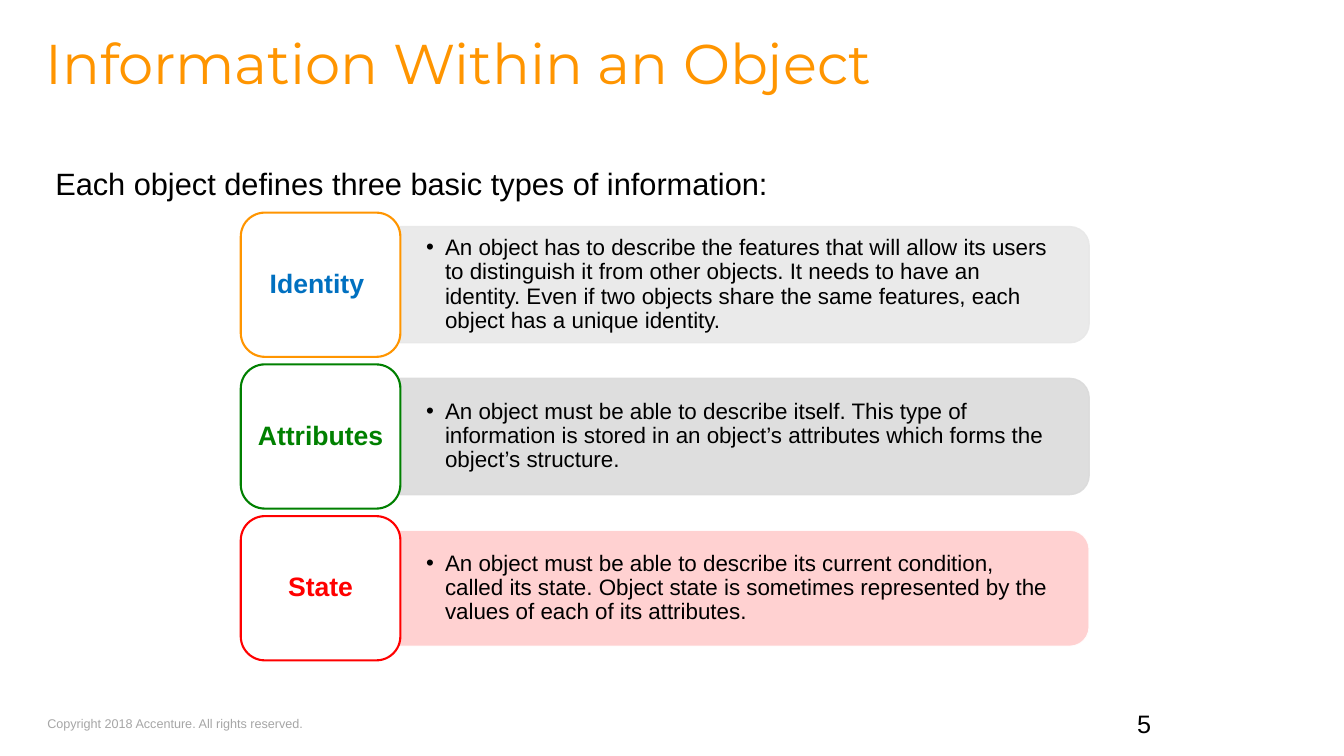
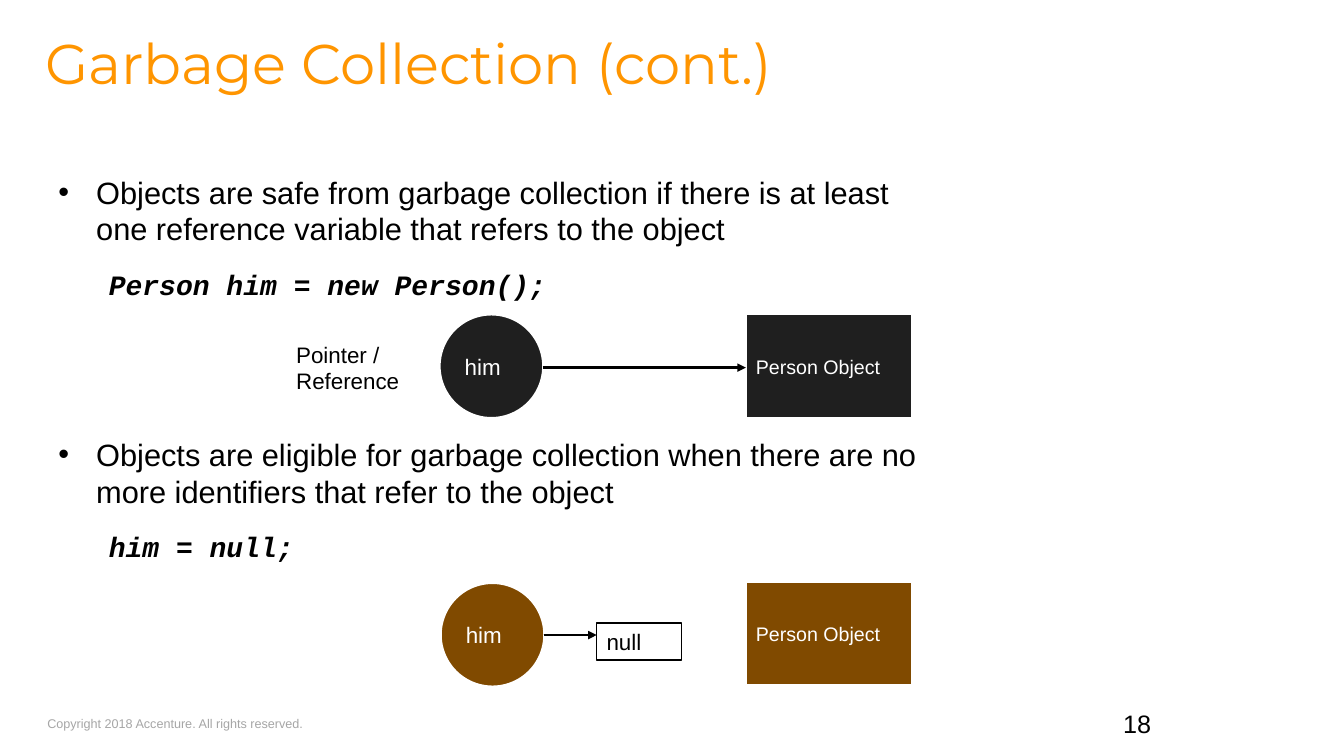
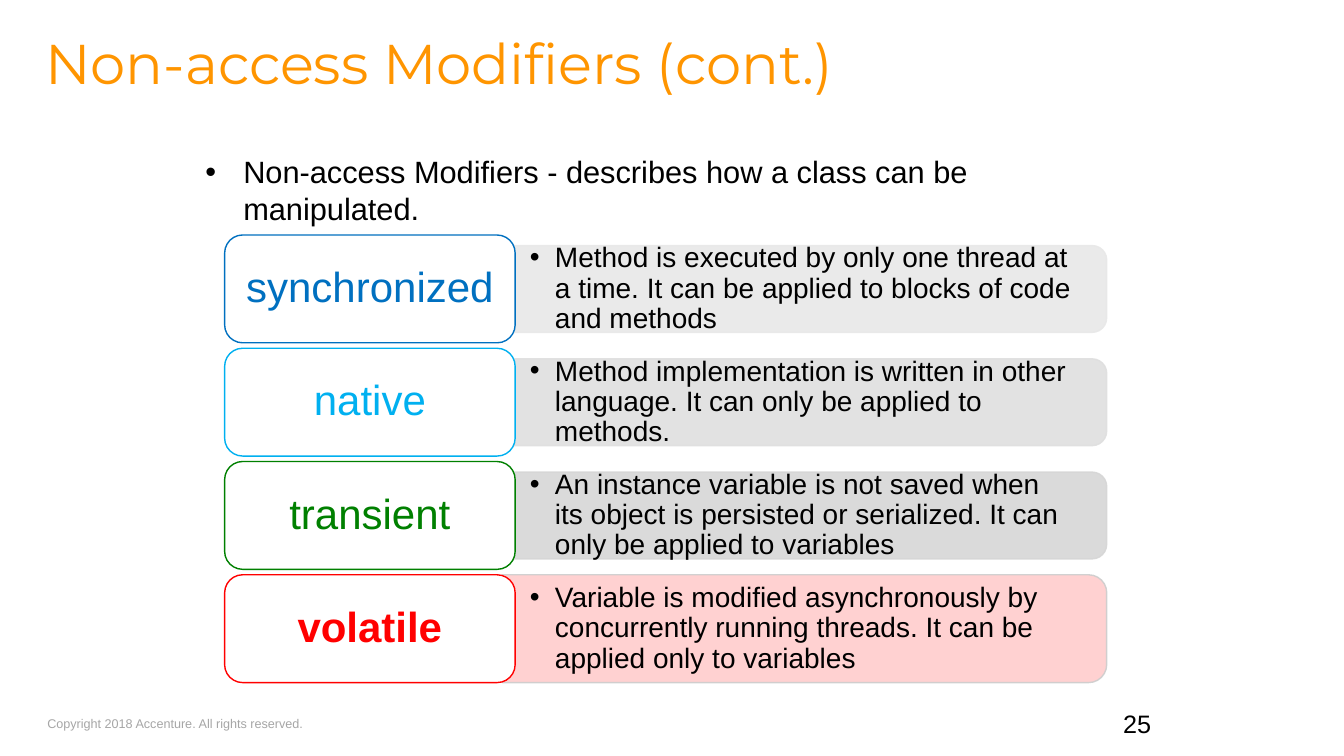
from dataclasses import dataclass

from lxml import etree
from pptx import Presentation
from pptx.dml.color import RGBColor
from pptx.enum import shapes, text
from pptx.oxml import ns
from pptx.util import Pt

ORANGE = RGBColor(0xFF, 0x95, 0x00)
BLUE = RGBColor(0x00, 0x70, 0xC0)
SKY = RGBColor(0x00, 0xB0, 0xF0)
GREEN = RGBColor(0x00, 0x80, 0x00)
RED = RGBColor(0xFF, 0x00, 0x00)
PINK = RGBColor(0xFF, 0xCC, 0xCC)
BROWN = RGBColor(0x80, 0x4A, 0x00)
CHARCOAL = RGBColor(0x1F, 0x1F, 0x1F)
BLACK = RGBColor(0x00, 0x00, 0x00)
WHITE = RGBColor(0xFF, 0xFF, 0xFF)
FOOTER_GREY = RGBColor(0xA6, 0xA6, 0xA6)
LIGHT_GREY = RGBColor(0xE8, 0xE8, 0xE8)
SOFT_GREY = RGBColor(0xDF, 0xDF, 0xDF)
MID_GREY = RGBColor(0xDB, 0xDB, 0xDB)
DARK_GREY = RGBColor(0xD6, 0xD6, 0xD6)
EDGE_GREY = RGBColor(0xCD, 0xCD, 0xCD)

BODY_FONT = "Arial"
TITLE_FONT = "Montserrat"
CODE_FONT = "Courier New"
BODY_SIZE = 22
BODY_INDENT = 27
INSETS = (7.2, 3.6)
CODE = dict(size=20, font=CODE_FONT, bold=True, italic=True, indent=36, before=14.4)

TITLE_ONLY = 5
LEFT, CENTER, RIGHT = text.PP_ALIGN.LEFT, text.PP_ALIGN.CENTER, text.PP_ALIGN.RIGHT
TOP, MIDDLE, BOTTOM = text.MSO_ANCHOR.TOP, text.MSO_ANCHOR.MIDDLE, text.MSO_ANCHOR.BOTTOM
SHAPE = shapes.MSO_SHAPE


@dataclass
class Row:
    label: str
    description: str
    color: RGBColor
    panel_fill: RGBColor
    panel_line: RGBColor
    bold: bool = True
    panel_height: float = 0


@dataclass
class RowStyle:
    """Measures of a column of labels, each with a description panel."""
    label_left: float
    label_width: float
    label_height: float
    label_size: float
    label_insets: tuple
    outline: float
    panel_left: float
    panel_width: float
    panel_height: float
    text_size: float
    text_indent: float
    first_center: float
    pitch: float


OBJECT_ROWS = RowStyle(172, 114, 103, 19, (6, 3), 1.5, 285, 493, 83, 16, 13.5, 203.4, 108.4)
MODIFIER_ROWS = RowStyle(160.5, 207.5, 77, 30, (9, 4.5), 1, 359, 431.5, 62, 20, 18, 206.4, 80.9)


def add_child(parent, tag, **attributes):
    return etree.SubElement(parent, ns.qn(tag), attributes)


def write(frame, content, size=BODY_SIZE, color=BLACK, font=BODY_FONT, bold=False,
          italic=False, align=LEFT, spacing=None, before=None, indent=0, bullet=False):
    """Add one paragraph, using the frame's first paragraph while that is empty."""
    paragraph = frame.paragraphs[0]
    if paragraph.runs:
        paragraph = frame.add_paragraph()
    paragraph.alignment = align
    if spacing:
        paragraph.line_spacing = spacing
    if before:
        paragraph.space_before = Pt(before)
    properties = paragraph._p.get_or_add_pPr()
    if indent:
        properties.set("marL", str(Pt(indent)))
        properties.set("indent", str(-Pt(indent) if bullet else 0))
    if bullet:
        add_child(properties, "a:buFont", typeface=BODY_FONT)
        add_child(properties, "a:buChar", char="•")
    run = paragraph.add_run()
    run.text = content
    run.font.size = Pt(size)
    run.font.name = font
    run.font.bold = bold
    run.font.italic = italic
    run.font.color.rgb = color


def format_frame(shape, insets=INSETS, anchor=TOP, wrap=True):
    frame = shape.text_frame
    frame.auto_size = text.MSO_AUTO_SIZE.NONE
    frame.word_wrap = wrap
    frame.vertical_anchor = anchor
    frame.margin_left = frame.margin_right = Pt(insets[0])
    frame.margin_top = frame.margin_bottom = Pt(insets[1])
    return frame


def add_box(slide, left, top, width, height, **layout):
    """Add a text box and return its text frame."""
    box = slide.shapes.add_textbox(Pt(left), Pt(top), Pt(width), Pt(height))
    return format_frame(box, **layout)


def add_shape(slide, kind, left, top, width, height, fill, line, line_width):
    shape = slide.shapes.add_shape(kind, Pt(left), Pt(top), Pt(width), Pt(height))
    shape.shadow.inherit = False
    if fill is None:
        shape.fill.background()
    else:
        shape.fill.solid()
        shape.fill.fore_color.rgb = fill
    shape.line.color.rgb = line
    shape.line.width = Pt(line_width)
    return shape


def add_arrow(slide, start, end, y):
    arrow = slide.shapes.add_connector(
        shapes.MSO_CONNECTOR.STRAIGHT, Pt(start), Pt(y), Pt(end), Pt(y))
    arrow.line.color.rgb = BLACK
    arrow.line.width = Pt(2)
    add_child(arrow.line._get_or_add_ln(), "a:tailEnd", type="triangle")
    add_child(arrow._element.spPr, "a:effectLst")


def add_node(slide, kind, left, top, width, label, size, fill):
    node = add_shape(slide, kind, left, top, width, 74, fill, WHITE, 1.5)
    write(format_frame(node, anchor=MIDDLE), label, size=size, color=WHITE)


def add_panel(slide, left, center, width, height, fill, line):
    """Add a translucent panel rounded on its right side only."""
    panel = add_shape(slide, SHAPE.ROUND_2_SAME_RECTANGLE,
                      left + (width - height) / 2, center - width / 2,
                      height, width, fill, line, 1)
    panel.rotation = 90
    for color in panel._element.spPr.iter(ns.qn("a:srgbClr")):
        add_child(color, "a:alpha", val="90000")


def add_rows(slide, rows, style):
    for index, row in enumerate(rows):
        center = style.first_center + index * style.pitch
        height = row.panel_height or style.panel_height
        add_panel(slide, style.panel_left, center, style.panel_width, height,
                  row.panel_fill, row.panel_line)
        description = add_box(slide, style.panel_left, center - height / 2 + 4,
                              style.panel_width - 4, height - 8,
                              insets=(19.4, 10), anchor=MIDDLE)
        write(description, row.description, size=style.text_size, spacing=0.9,
              indent=style.text_indent, bullet=True)
        label = add_shape(slide, SHAPE.ROUNDED_RECTANGLE, style.label_left,
                          center - style.label_height / 2, style.label_width,
                          style.label_height, WHITE, row.color, style.outline)
        write(format_frame(label, insets=style.label_insets, anchor=MIDDLE), row.label,
              size=style.label_size, color=row.color, bold=row.bold,
              align=CENTER, spacing=0.9)


def add_slide(presentation, title, number):
    slide = presentation.slides.add_slide(presentation.slide_layouts[TITLE_ONLY])
    heading = slide.shapes.title
    heading.left, heading.top = Pt(32.4), Pt(29.5)
    heading.width, heading.height = Pt(763), Pt(59)
    write(format_frame(heading, insets=(0, 0)), title, size=40, color=ORANGE,
          font=TITLE_FONT, spacing=0.8)
    write(add_box(slide, 33.8, 507.6, 185, 18, insets=(0, 3.6), wrap=False),
          "Copyright 2018 Accenture. All rights reserved.", size=9, color=FOOTER_GREY)
    write(add_box(slide, 696.2, 509.8, 133.2, 21.6, anchor=BOTTOM),
          str(number), size=18, align=RIGHT)
    return slide


def build_object_information(presentation):
    slide = add_slide(presentation, "Information Within an Object", 5)
    write(add_box(slide, 32.4, 113.8, 599, 36),
          "Each object defines three basic types of information:")
    add_rows(slide, [
        Row("Identity ", "An object has to describe the features that will allow its users "
            "to distinguish it from other objects. It needs to have an identity. Even if two "
            "objects share the same features, each object has a unique identity.",
            BLUE, LIGHT_GREY, LIGHT_GREY),
        Row("Attributes", "An object must be able to describe itself. This type of "
            "information is stored in an object’s attributes which forms the object’s "
            "structure.", GREEN, MID_GREY, MID_GREY),
        Row("State", "An object must be able to describe its current condition, called its "
            "state. Object state is sometimes represented by the values of each of its "
            "attributes.", RED, PINK, WHITE),
    ], OBJECT_ROWS)
    # The first label is outlined in the title colour, unlike its text.
    identity = next(shape for shape in slide.shapes
                    if shape.has_text_frame and shape.text_frame.text == "Identity ")
    identity.line.color.rgb = ORANGE


def build_garbage_collection(presentation):
    slide = add_slide(presentation, "Garbage Collection (cont.)", 18)
    body = add_box(slide, 34.6, 120.2, 646.6, 356.4)
    write(body, "Objects are safe from garbage collection if there is at least one "
          "reference variable that refers to the object", indent=BODY_INDENT, bullet=True)
    write(body, "Person him = new Person();", **CODE)
    write(body, "Objects are eligible for garbage collection when there are no more "
          "identifiers that refer to the object",
          indent=BODY_INDENT, bullet=True, before=96)
    write(body, "him = null;", **CODE)

    for circle_left, circle_top, object_top, fill in (
            (314, 224.6, 224.6, CHARCOAL), (314.8, 416.4, 415.4, BROWN)):
        add_node(slide, SHAPE.OVAL, circle_left, circle_top, 74, "him", 16, fill)
        add_node(slide, SHAPE.RECTANGLE, 532.8, object_top, 118.6, "Person Object", 14, fill)

    pointer = add_box(slide, 204.5, 239.8, 105.8, 46)
    for line in ("Pointer /", "Reference"):
        write(pointer, line, size=16)

    add_arrow(slide, 387.6, 532.8, 262.6)
    add_arrow(slide, 388.8, 426.2, 453.6)
    null_box = add_shape(slide, SHAPE.RECTANGLE, 426.2, 445, 60.5, 26.6, None, BLACK, 1)
    write(format_frame(null_box), "null", size=16)


def build_modifiers(presentation):
    slide = add_slide(presentation, "Non-access Modifiers (cont.)", 25)
    write(add_box(slide, 139.7, 105.8, 635.8, 82),
          "Non-access Modifiers - describes how a class can be manipulated.",
          indent=BODY_INDENT, bullet=True)
    add_rows(slide, [
        Row("synchronized", "Method is executed by only one thread at a time. It can be "
            "applied to blocks of code and methods", BLUE, LIGHT_GREY, LIGHT_GREY, False),
        Row("native", "Method implementation is written in other language. It can only be "
            "applied to methods.", SKY, SOFT_GREY, SOFT_GREY, False),
        Row("transient", "An instance variable is not saved when its object is persisted or "
            "serialized. It can only be applied to variables",
            GREEN, DARK_GREY, DARK_GREY, False),
        Row("volatile", "Variable is modified asynchronously by concurrently running "
            "threads. It can be applied only to variables",
            RED, PINK, EDGE_GREY, panel_height=77),
    ], MODIFIER_ROWS)


def main():
    presentation = Presentation()
    presentation.slide_width, presentation.slide_height = Pt(960), Pt(540)
    build_object_information(presentation)
    build_garbage_collection(presentation)
    build_modifiers(presentation)
    presentation.save("out.pptx")


if __name__ == "__main__":
    main()
